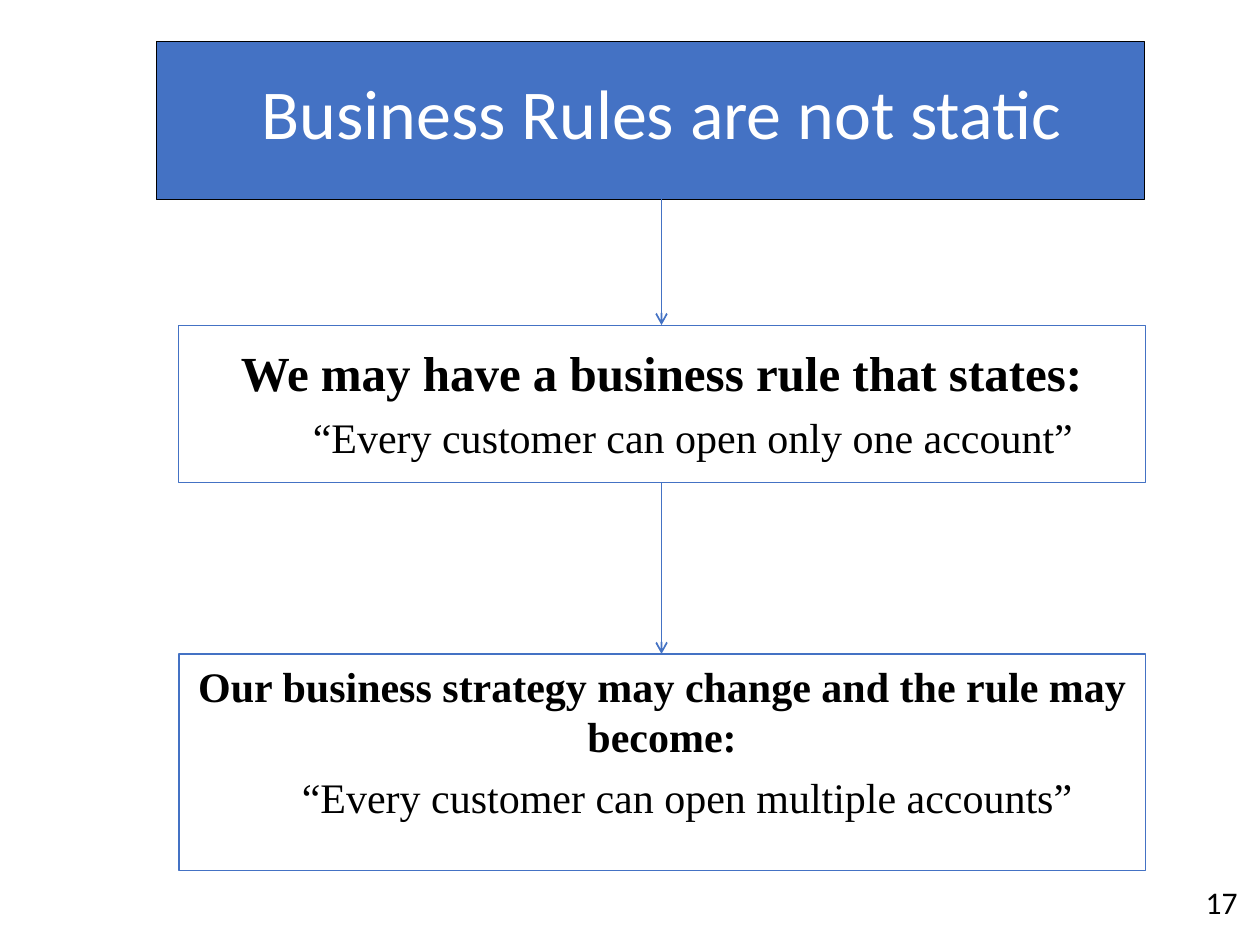
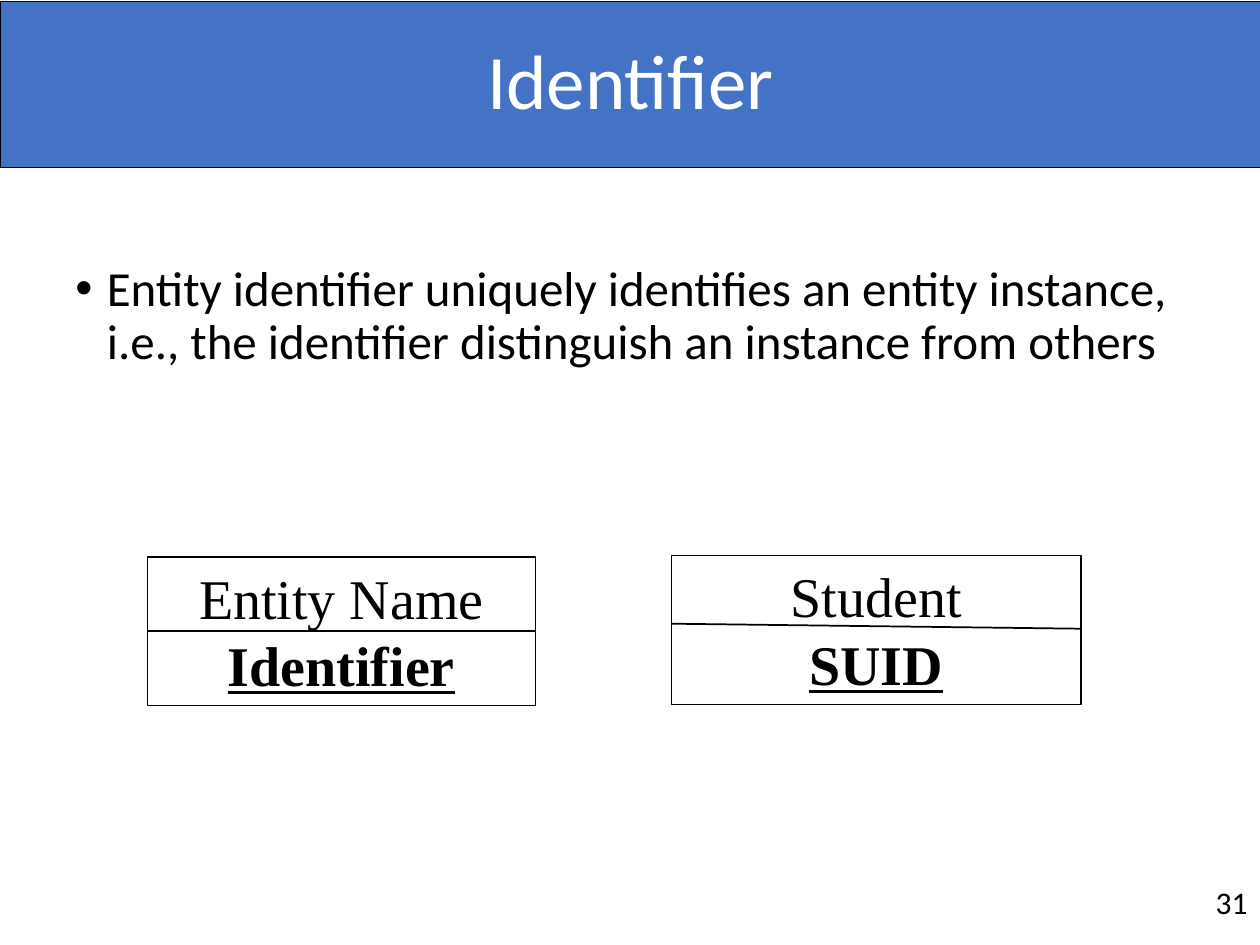
"""Build two slides on business rules and entity identifiers."""
from dataclasses import dataclass

from lxml import etree
from pptx import Presentation
from pptx.dml.color import RGBColor
from pptx.enum import shapes, text
from pptx.oxml.ns import qn
from pptx.util import Inches, Pt


@dataclass(frozen=True)
class Theme:
    blue: RGBColor = RGBColor(0x44, 0x72, 0xC4)
    black: RGBColor = RGBColor(0, 0, 0)
    white: RGBColor = RGBColor(255, 255, 255)
    sans: str = "Calibri"
    serif: str = "Times New Roman"
    banner: int = 44
    heading: int = 40
    entity: int = 32
    lead: int = 28
    rule: int = 24
    number: int = 18


theme = Theme()
top, middle = text.MSO_ANCHOR.TOP, text.MSO_ANCHOR.MIDDLE
center, right, left = text.PP_ALIGN.CENTER, text.PP_ALIGN.RIGHT, text.PP_ALIGN.LEFT


def add_box(slide, at, lines=(), fill=None, outline=None, weight=0.75, anchor=top):
    place = [Inches(value) for value in at]
    if outline is None:
        box = slide.shapes.add_textbox(*place)
    else:
        box = slide.shapes.add_shape(shapes.MSO_SHAPE.RECTANGLE, *place)
        box.shadow.inherit = False
        box.line.color.rgb = outline
        box.line.width = Pt(weight)
        if fill is None:
            box.fill.background()
        else:
            box.fill.solid()
            box.fill.fore_color.rgb = fill
    frame = box.text_frame
    frame.word_wrap = True
    frame.vertical_anchor = anchor
    for index, line in enumerate(lines):
        paragraph = frame.add_paragraph() if index else frame.paragraphs[0]
        paragraph.alignment = line.get("align", center)
        paragraph.line_spacing = line.get("spacing", 1.0)
        paragraph.space_before = Pt(line.get("before", 0))
        properties = paragraph._p.get_or_add_pPr()
        properties.set("marL", str(Inches(line.get("margin", 0))))
        if "bullet" in line:
            properties.set("indent", str(-Inches(line["margin"])))
            etree.SubElement(properties, qn("a:buFont")).set("typeface", "Arial")
            etree.SubElement(properties, qn("a:buChar")).set("char", line["bullet"])
        run = paragraph.add_run()
        run.text = line["words"]
        run.font.name = line.get("font", theme.serif)
        run.font.size = Pt(line["size"])
        run.font.color.rgb = line.get("color", theme.black)
        run.font.bold = line.get("bold", False)
        run.font.underline = line.get("underline", False)


def add_line(slide, start, end, color, arrow=False):
    ends = [Inches(value) for value in (*start, *end)]
    line = slide.shapes.add_connector(shapes.MSO_CONNECTOR.STRAIGHT, *ends)
    line.line.color.rgb = color
    line.line.width = Pt(1)
    if arrow:
        etree.SubElement(line.line._get_or_add_ln(), qn("a:tailEnd")).set("type", "arrow")
    etree.SubElement(line._element.spPr, qn("a:effectLst"))


deck = Presentation()
deck.slide_width, deck.slide_height = Inches(10), Inches(7.5)
blank = deck.slide_layouts[6]
rules, identifier = deck.slides.add_slide(blank), deck.slides.add_slide(blank)

add_box(rules, (1.24, 0.33, 7.84, 1.25), fill=theme.blue, outline=theme.black, weight=0.5)
add_box(rules, (1.75, 0.5, 7, 0.77), [
    dict(words="Business Rules are not static", size=theme.heading, font=theme.sans, color=theme.white)])
add_box(rules, (1.42, 2.58, 7.67, 1.25), fill=theme.white, outline=theme.blue, weight=0.5)
add_box(rules, (1.75, 2.67, 7, 1.46), [
    dict(words="We may have a business rule that states:", size=theme.lead, bold=True),
    dict(words="“Every customer can open only one account”", size=theme.rule, margin=0.5, before=6)])
add_box(rules, (1.42, 5.19, 7.67, 1.72), [
    dict(words="Our business strategy may change and the rule may become:", size=theme.rule, bold=True),
    dict(words="“Every customer can open multiple accounts”", size=theme.rule, margin=0.4, before=6),
], fill=theme.white, outline=theme.blue)
for start, end in ((1.58, 2.58), (3.83, 5.19)):
    add_line(rules, (5.25, start), (5.25, end), theme.blue, arrow=True)

add_box(identifier, (0, 0.01, 10.01, 1.32), [
    dict(words="Identifier", size=theme.banner, font=theme.sans, color=theme.white, spacing=0.9),
], fill=theme.blue, outline=theme.black, anchor=middle)
add_box(identifier, (0.5, 2.05, 9, 4.95), [
    dict(words="Entity identifier uniquely identifies an entity instance, "
               "i.e., the identifier distinguish an instance from others",
         size=theme.lead, font=theme.sans, align=left, spacing=0.9, margin=0.25, bullet="•")])
entities = (
    ("Entity Name", "Identifier", 1.17, 4.42, 3.08, 5.01, 5.01),
    ("Student", "SUID", 5.33, 4.41, 3.25, 4.95, 4.99),
)
for entity, key, x, y, width, divider_start, divider_end in entities:
    add_box(identifier, (x, y, width, 1.18), [
        dict(words=entity, size=theme.entity),
        dict(words=key, size=theme.entity, bold=True, underline=True),
    ], outline=theme.black)
    add_line(identifier, (x, divider_start), (x + width, divider_end), theme.black)

for slide, number, x in ((rules, "17", 9.42), (identifier, "31", 9.5)):
    add_box(slide, (x, 6.9, 0.5, 0.52), [
        dict(words=number, size=theme.number, font=theme.sans, align=right)], anchor=middle)

deck.save("out.pptx")
